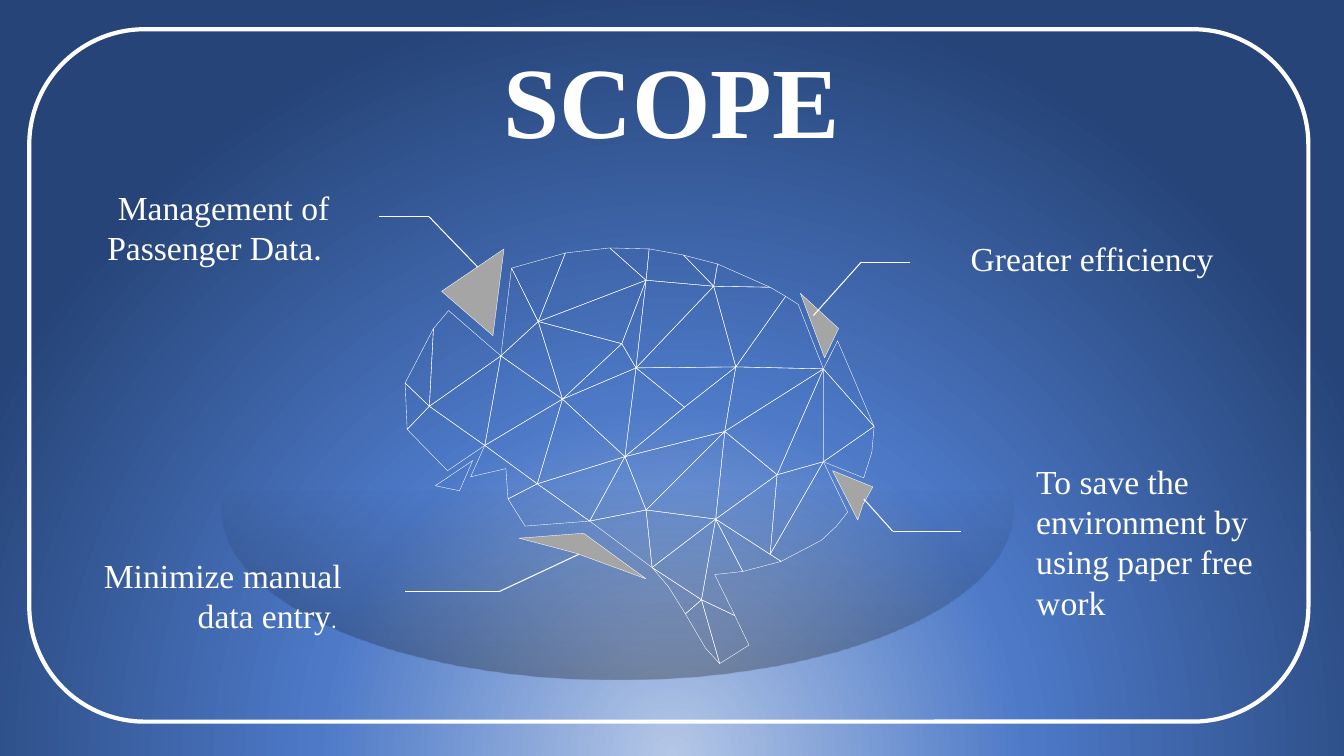
from dataclasses import dataclass
from itertools import pairwise

from pptx import Presentation
from pptx import util as u
from pptx.dml.color import RGBColor
from pptx.enum import shapes, text
from pptx.oxml import parse_xml
from pptx.oxml.ns import nsdecls, qn

WHITE = RGBColor(0xFF, 0xFF, 0xFF)
GREY = RGBColor(0xA5, 0xA5, 0xA5)
BLACK = RGBColor(0, 0, 0)
PALE = RGBColor(0xB4, 0xC7, 0xE7)
BLUE = RGBColor(0x4D, 0x79, 0xC7)
NAVY = RGBColor(0x26, 0x44, 0x78)
SERIF, SANS = "Times New Roman", "Calibri"
LEFT, MID, RIGHT = text.PP_ALIGN.LEFT, text.PP_ALIGN.CENTER, text.PP_ALIGN.RIGHT

Point = tuple[float, float]
Box = tuple[float, float, float, float]


@dataclass
class Stop:
    at: int
    color: RGBColor
    alpha: int = 100


@dataclass
class Run:
    words: str
    size: float = 24
    font: str = SERIF
    bold: bool = False


@dataclass
class Label:
    box: Box
    align: text.PP_ALIGN
    runs: list[Run]
    lead: list[Point]


@dataclass
class Shard:
    points: list[Point]
    fill: RGBColor | None = GREY


# Corners of the brain mesh; each facet below lists its corners by letter.
NODES: dict[str, Point] = {
    "a": (357.8, 254.2), "b": (384.5, 229.7), "c": (365.4, 191.5), "d": (403.9, 180.7),
    "e": (461.5, 200.2), "f": (435.6, 177.1), "g": (463.7, 177.8), "h": (509.8, 204.5),
    "i": (488.2, 182.2), "j": (512.6, 188.6), "k": (306.7, 290.2), "l": (320.4, 221.8),
    "m": (309.6, 234.7), "n": (289.4, 273.6), "o": (290.9, 306.7), "p": (550.1, 205.2),
    "q": (346.3, 318.2), "r": (319.7, 336.2), "s": (401.8, 285.1), "t": (444.2, 245.5),
    "u": (454.3, 262.8), "v": (561.2, 211.7), "w": (525.6, 262.1), "x": (588.2, 263.5),
    "y": (570.2, 217.4), "z": (446.4, 326.2), "A": (383.8, 345.6), "B": (488.9, 290.9),
    "C": (517.7, 308.2), "D": (336.2, 340.6), "E": (362.9, 356.4), "F": (361.4, 334.8),
    "G": (375.1, 375.8), "H": (421.2, 372.2), "I": (465.8, 405.4), "J": (461.5, 364.3),
    "K": (511.2, 370.8), "L": (555.1, 339.1), "M": (550.1, 396), "N": (588.2, 329.8),
    "O": (624.4, 304.6), "P": (598.3, 243.4), "Q": (501.1, 428.4), "R": (489.6, 438.5),
    "S": (477.4, 419), "T": (514.1, 474), "U": (504, 463), "V": (524.9, 439.7),
    "W": (535, 460.8), "X": (530.6, 408.2), "Y": (510.5, 410.4), "Z": (558, 401),
    "1": (605.5, 365.8), "2": (597.6, 375.8), "3": (586.8, 385.9), "4": (617, 341.3),
    "5": (622.8, 322.9),
}
FACETS = (
    "bac cbd dbef feg gehi ihj kalm mkn okn jhp "
    "okqr kaq qas abs bst bte tue euh hpvw hwu xwvy "
    "DqAEF zAs Asq stu suz zuB uBw zBwC wCx "
    "EAHG IJH JHz HzA zCJ JCK KLC KLM LxC LxN xON OxP "
    "IQRS RQTU TQVW VQKXY QIK IJK XKZ LMN ZMN123 ON45"
).split()
SHARDS = [
    Shard([(315.4, 208.1), (352.1, 239.8), (360, 177.8)]),
    Shard([(311, 347), (337.7, 329), (328.3, 350.6)], None),
    Shard([(370.8, 384.5), (416.9, 380.9), (461.5, 413.5), (411.8, 395.3)]),
    Shard([(571.7, 209.5), (589, 255.6), (599, 234.7)]),
    Shard([(594.7, 336.2), (623.5, 347.8), (616.3, 360.7), (612.7, 371.5)]),
]
LABELS = [
    Label((72, 133.2, 163.4, 58.3), RIGHT,
          [Run("Management of Passenger Data"), Run(". ", font=SANS)],
          [(341.3, 190.8), (306.5, 154.8), (270.7, 154.8)]),
    Label((67.7, 396, 176.4, 58.3), RIGHT,
          [Run("Minimize manual data entry"), Run(". ", 16, SANS)],
          [(413.3, 396), (356.5, 422.6), (289.4, 422.6)]),
    Label((740.2, 329, 194.4, 116.6), LEFT,
          [Run("To save the environment by using paper free work")],
          [(617, 356.4), (637.6, 379.4), (686.2, 379.4)]),
    Label((693.4, 169.9, 194.4, 28.8), LEFT,
          [Run("Greater efficiency")],
          [(581, 225.4), (615.2, 187.2), (650.2, 187.2)]),
]


def blend(host, stops: list[Stop], shade: str) -> None:
    """Swap the first solid fill under host for a gradient."""
    marks = "".join(
        f'<a:gs pos="{s.at * 1000}"><a:srgbClr val="{s.color}">'
        f'<a:alpha val="{s.alpha * 1000}"/></a:srgbClr></a:gs>' for s in stops)
    old = host.find(f".//{qn('a:solidFill')}")
    old.getparent().replace(old, parse_xml(
        f'<a:gradFill {nsdecls("a")} rotWithShape="1">'
        f"<a:gsLst>{marks}</a:gsLst>{shade}</a:gradFill>"))


def add_form(slide, kind: shapes.MSO_SHAPE, box: Box):
    form = slide.shapes.add_shape(kind, *map(u.Pt, box))
    form.shadow.inherit = False
    return form


def add_shard(slide, shard: Shard) -> None:
    first, *rest = [(u.Pt(x), u.Pt(y)) for x, y in shard.points]
    pen = slide.shapes.build_freeform(*first)
    pen.add_line_segments(rest, close=True)
    form = pen.convert_to_shape()
    form.shadow.inherit = False
    if shard.fill is None:
        form.fill.background()
    else:
        form.fill.solid()
        form.fill.fore_color.rgb = shard.fill
    form.line.color.rgb = WHITE
    form.line.width = u.Pt(0.25)


def add_lead(slide, points: list[Point]) -> None:
    """Draw a bent leader line, one connector per leg."""
    for start, end in pairwise(points):
        leg = slide.shapes.add_connector(
            shapes.MSO_CONNECTOR.STRAIGHT, *map(u.Pt, start + end))
        leg.line.color.rgb = WHITE
        leg.line.width = u.Pt(0.75)
        leg.element.spPr.append(parse_xml(f'<a:effectLst {nsdecls("a")}/>'))


def add_text(slide, box: Box, align: text.PP_ALIGN, runs: list[Run]):
    frame = slide.shapes.add_textbox(*map(u.Pt, box)).text_frame
    frame.word_wrap = True
    frame.margin_left = frame.margin_right = u.Pt(0)
    frame.margin_top = frame.margin_bottom = u.Pt(0)
    line = frame.paragraphs[0]
    line.alignment = align
    for item in runs:
        run = line.add_run()
        run.text = item.words
        run.font.size = u.Pt(item.size)
        run.font.name = item.font
        run.font.bold = item.bold
        run.font.color.rgb = WHITE
    return frame


def main() -> None:
    deck = Presentation()
    deck.slide_width, deck.slide_height = u.Pt(960), u.Pt(540)
    slide = deck.slides.add_slide(deck.slide_layouts[6])

    slide.background.fill.solid()
    blend(slide.element, [Stop(0, PALE), Stop(46, BLUE), Stop(100, NAVY)],
          '<a:path path="circle"><a:fillToRect l="50000" t="130000" '
          'r="50000" b="-30000"/></a:path>')

    shade = add_form(slide, shapes.MSO_SHAPE.OVAL, (158.4, 242.6, 565.9, 242.6))
    shade.fill.solid()
    shade.line.fill.background()
    blend(shade.element, [Stop(44, BLACK, 0), Stop(100, BLACK, 28)],
          '<a:lin ang="5400000" scaled="0"/>')

    title = add_text(slide, (76.3, 54.7, 807.1, 41.8), MID,
                     [Run("SCOPE", 72, bold=True)])
    title.vertical_anchor = text.MSO_ANCHOR.MIDDLE
    title.paragraphs[0].line_spacing = 0.9

    for facet in FACETS:
        add_shard(slide, Shard([NODES[name] for name in facet], None))
    for shard in SHARDS:
        add_shard(slide, shard)
    for label in LABELS:
        add_lead(slide, label.lead)
        add_text(slide, label.box, label.align, label.runs)

    frame = add_form(slide, shapes.MSO_SHAPE.ROUNDED_RECTANGLE,
                     (20.9, 20.9, 913.7, 494.6))
    frame.fill.background()
    frame.line.color.rgb = WHITE
    frame.line.width = u.Pt(3)
    deck.save("out.pptx")


if __name__ == "__main__":
    main()
